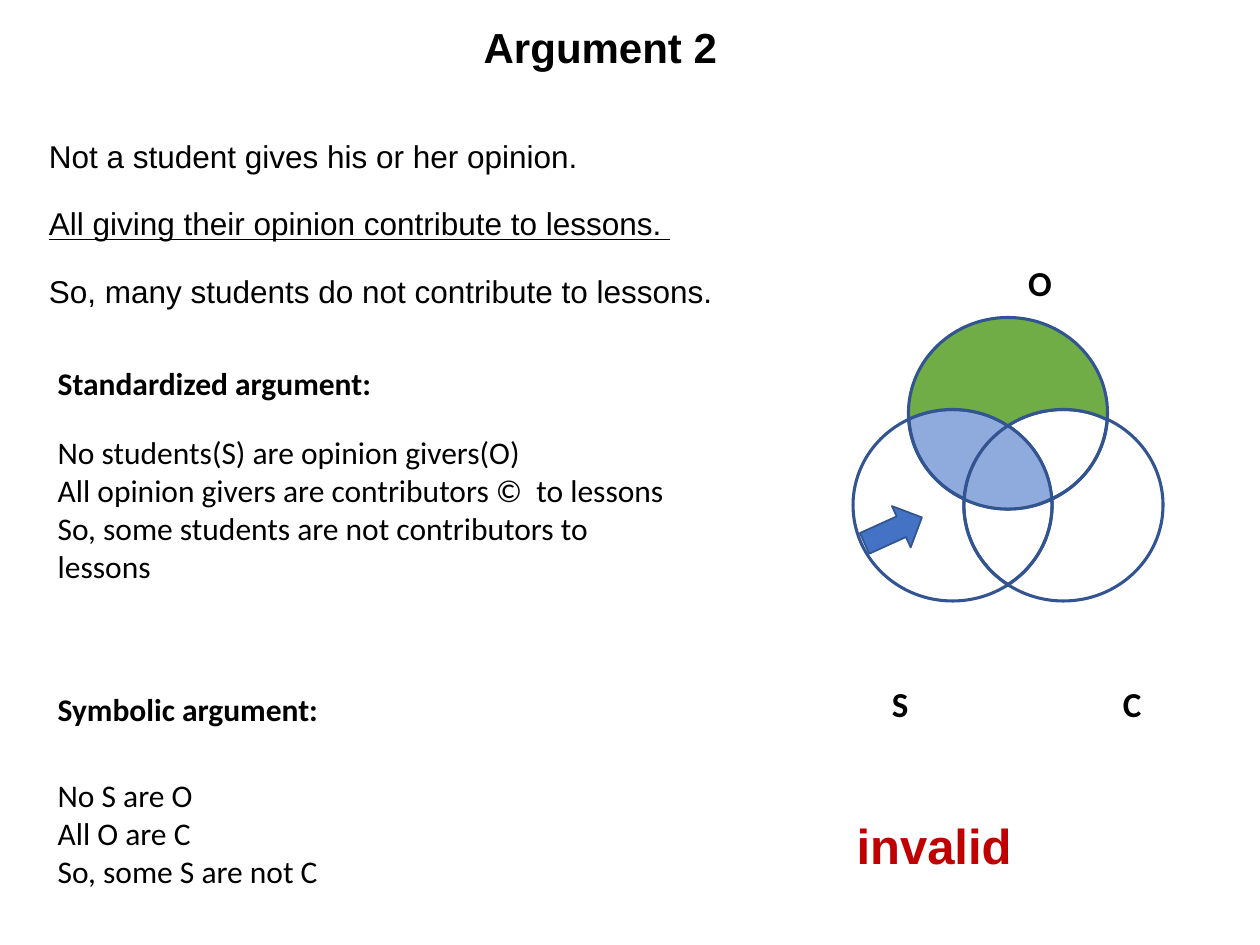
"""Build a slide that tests a syllogism with a three-circle Venn diagram."""
from math import cos, radians, sin, tan

from pptx import Presentation
from pptx.dml.color import RGBColor
from pptx.enum import shapes, text
from pptx.oxml import ns, xmlchemy
from pptx.util import Inches, Pt

COLORS = {
    "black": "000000",
    "red": "C00000",
    "green": "70AD47",
    "light_blue": "8FAADC",
    "blue": "4472C4",
    "outline": "325491",
}
LEFT, CENTER = text.PP_ALIGN.LEFT, text.PP_ALIGN.CENTER

presentation = Presentation()
presentation.slide_width = Inches(10)
presentation.slide_height = Inches(7.5)
slide = presentation.slides.add_slide(presentation.slide_layouts[6])


def add_text(box, lines, size, font="Calibri", bold=False, color="black", align=LEFT):
    shape = slide.shapes.add_textbox(*[Inches(value) for value in box])
    frame = shape.text_frame
    frame.word_wrap = True
    frame.text = "\n".join(lines)
    for paragraph in frame.paragraphs:
        paragraph.alignment = align
        paragraph.font.name = font
        paragraph.font.size = Pt(size)
        paragraph.font.bold = bold
        paragraph.font.color.rgb = RGBColor.from_string(COLORS[color])
    return frame.paragraphs


def style_shape(shape, fill, line_width):
    shape.shadow.inherit = False
    if fill:
        shape.fill.solid()
        shape.fill.fore_color.rgb = RGBColor.from_string(COLORS[fill])
    else:
        shape.fill.background()
    shape.line.color.rgb = RGBColor.from_string(COLORS["outline"])
    shape.line.width = Pt(line_width)


title = add_text((0.05, 0.17, 9.43, 0.56), ["Argument 2"], 24, "Arial", True, align=CENTER)
title[0].line_spacing = 0.9

argument = add_text(
    (0.29, 0.89, 9.19, 1.19),
    [
        "Not a student gives his or her opinion.",
        "All giving their opinion contribute to lessons. ",
        "So, many students do not contribute to lessons.",
    ],
    18,
    "Arial",
)
for paragraph in argument:
    paragraph.line_spacing = 1.5
for paragraph in argument[1:]:
    paragraph.space_before = Pt(6)
argument[1].runs[0].font.underline = True

for heading, top in [("Standardized argument:", 2.84), ("Symbolic argument:", 5.43)]:
    add_text((0.36, top, 3.14, 0.4), [heading], 18, bold=True)

for label, left, top in [("C", 8.62, 5.37), ("S", 6.78, 5.37)]:
    add_text((left, top, 0.73, 0.44), [label], 20, bold=True, align=CENTER)
add_text((6.7, 6.42, 3.01, 0.57), ["invalid"], 28, "Arial", True, "red")

CENTERS = {"O": (8, 3.28), "S": (7.56, 4.01), "C": (8.44, 4.01)}
RADIUS_X, RADIUS_Y = 0.79, 0.76
regions = [
    ("light_blue", [("S", -116, -56), ("C", 236, 184), ("O", 116, 176)]),
    (None, [("C", 236, 296), ("O", 4, 64), ("S", -4, -56)]),
    (None, [("S", -4, 56), ("C", 124, 184), ("O", 116, 64)]),
    ("green", [("O", 176, 364), ("C", 296, 236), ("S", -56, -116)]),
    (None, [("C", -64, 124), ("S", 56, -4), ("O", 64, 4)]),
    (None, [("S", 56, 244), ("O", 176, 116), ("C", 184, 124)]),
    ("light_blue", [("S", -56, -4), ("O", 64, 116), ("C", 184, 236)]),
]
for fill, arcs in regions:
    points = []
    for circle, start, end in arcs:
        center_x, center_y = CENTERS[circle]
        quarters = [angle for angle in range(-90, 361, 90) if min(start, end) < angle < max(start, end)]
        cuts = sorted([start, *quarters, end], reverse=end < start)
        for first, last in zip(cuts, cuts[1:]):
            handle = 4 / 3 * tan(radians(last - first) / 4)
            for angle, pull in [(first, 0), (first, handle), (last, -handle), (last, 0)]:
                cosine, sine = cos(radians(angle)), sin(radians(angle))
                x = center_x + RADIUS_X * (cosine - pull * sine)
                y = center_y + RADIUS_Y * (sine + pull * cosine)
                if pull or angle == last or not points:
                    points.append((Inches(x), Inches(y)))
    builder = slide.shapes.build_freeform(*points[0])
    builder.add_line_segments(points[1:], close=True)
    region = builder.convert_to_shape()
    segments = region.element.findall(".//" + ns.qn("a:lnTo"))
    for index in range(0, len(segments), 3):
        curve = xmlchemy.OxmlElement("a:cubicBezTo")
        segments[index].addprevious(curve)
        for segment in segments[index:index + 3]:
            curve.append(segment[0])
            segment.getparent().remove(segment)
    style_shape(region, fill, 1.75)

add_text((7.89, 2.03, 0.73, 0.44), ["O"], 20, bold=True, align=CENTER)
add_text(
    (0.36, 3.39, 5.03, 1.62),
    [
        "No students(S) are opinion givers(O)",
        "All opinion givers are contributors ©  to lessons",
        "So, some students are not contributors to lessons",
    ],
    18,
)
add_text((0.36, 6.11, 3.87, 1.01), ["No S are O", "All O are C", "So, some S are not C"], 18)

arrow = slide.shapes.add_shape(
    shapes.MSO_SHAPE.RIGHT_ARROW, Inches(6.84), Inches(4.03), Inches(0.5), Inches(0.36)
)
arrow.rotation = 335.6
style_shape(arrow, "blue", 1)

presentation.save("out.pptx")
